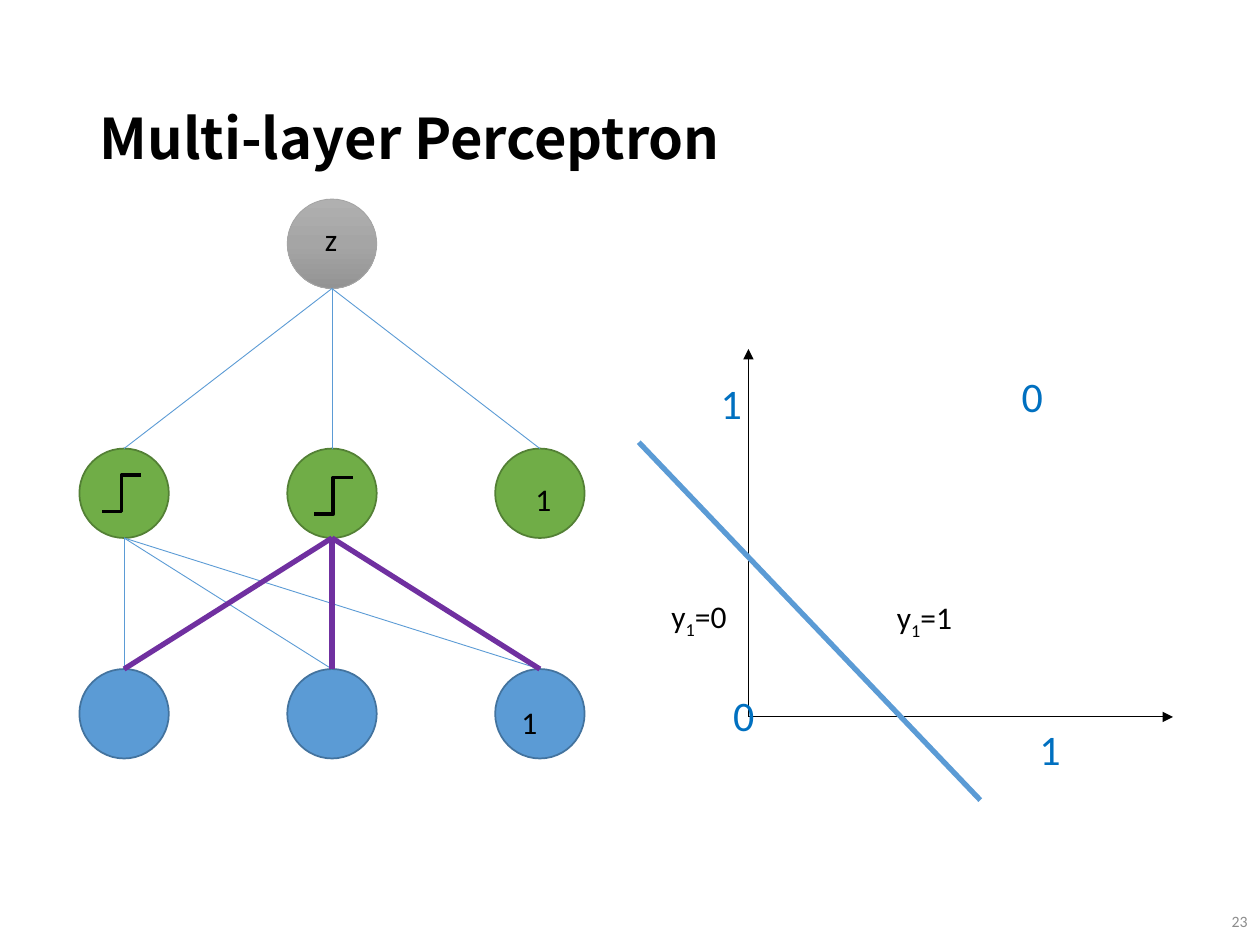
from copy import deepcopy
from typing import NamedTuple

from pptx import Presentation
from pptx.dml.color import RGBColor
from pptx.enum.shapes import MSO_CONNECTOR, MSO_SHAPE
from pptx.enum.text import MSO_ANCHOR, MSO_AUTO_SIZE, PP_ALIGN
from pptx.oxml.ns import qn
from pptx.util import Emu, Inches, Pt
from lxml.etree import SubElement

BLUE, GREEN, GRAY, PURPLE, BLACK = "5B9BD5", "70AD47", "A5A5A5", "7030A0", "000000"
DIAMETER = 0.71
FIRST_COLUMN, COLUMN_PITCH = 0.63, 1.65
OUTPUT_ROW, HIDDEN_ROW, INPUT_ROW = 1.58, 3.56, 5.31
ORIGIN = (5.94, 5.69)
TOP, BOTTOM = 0, 2

presentation = Presentation()
presentation.slide_width, presentation.slide_height = Inches(10), Inches(7.5)
GRID_CELL = presentation.slide_width / 10
slide = presentation.slides.add_slide(presentation.slide_layouts[5])


class Label(NamedTuple):
    text: str
    left: float
    top: float
    width: float
    height: float = 0.4
    size: int = 18
    color: str = BLACK
    wrap: bool = False
    subscript: str = ""
    ending: str = ""


class Segment(NamedTuple):
    start: tuple
    end: tuple
    color: str
    width: float
    arrow: bool = False


class Layer(NamedTuple):
    row: float
    columns: tuple
    fill: str
    outline: str
    line_width: float


class Step(NamedTuple):
    left: float
    top: float


def grid(cells: float) -> Emu:
    return Emu(round(cells * GRID_CELL))


def rgb(color: str) -> RGBColor:
    return RGBColor.from_string(color)


def place(shape, left: float, top: float, width: float, height: float) -> None:
    shape.left, shape.top = grid(left), grid(top)
    shape.width, shape.height = grid(width), grid(height)


def write(paragraph, text: str, *, size: float, color: str = BLACK,
          font: str = "Calibri", bold: bool = False, baseline: int = 0) -> None:
    run = paragraph.add_run()
    run.text = text
    run.font.size, run.font.name, run.font.bold = Pt(size), font, bold
    run.font.color.rgb = rgb(color)
    properties = run.font._element
    for tag in ("a:ea", "a:cs"):
        SubElement(properties, qn(tag), typeface=font)
    if baseline:
        properties.set("baseline", str(baseline * 1000))


def draw_label(label: Label):
    shape = slide.shapes.add_textbox(0, 0, 0, 0)
    frame = shape.text_frame
    frame.word_wrap = label.wrap
    frame.auto_size = MSO_AUTO_SIZE.SHAPE_TO_FIT_TEXT
    place(shape, label.left, label.top, label.width, label.height)
    paragraph = frame.paragraphs[0]
    write(paragraph, label.text, size=label.size, color=label.color)
    if label.subscript:
        write(paragraph, label.subscript, size=label.size, color=label.color, baseline=-25)
        write(paragraph, label.ending, size=label.size, color=label.color)
    return shape


def draw_segment(segment: Segment):
    (x1, y1), (x2, y2) = segment.start, segment.end
    connector = slide.shapes.add_connector(
        MSO_CONNECTOR.STRAIGHT, grid(x1), grid(y1), grid(x2), grid(y2))
    connector.line.color.rgb = rgb(segment.color)
    connector.line.width = Pt(segment.width)
    if segment.arrow:
        SubElement(connector.line._get_or_add_ln(), qn("a:tailEnd"), type="triangle")
    SubElement(connector._element.spPr, qn("a:effectLst"))
    return connector


def draw_neuron(layer: Layer, column: int):
    neuron = slide.shapes.add_shape(MSO_SHAPE.OVAL, 0, 0, 0, 0)
    place(neuron, FIRST_COLUMN + column * COLUMN_PITCH, layer.row, DIAMETER, DIAMETER)
    neuron.shadow.inherit = False
    neuron.fill.solid()
    neuron.fill.fore_color.rgb = rgb(layer.fill)
    neuron.line.color.rgb = rgb(layer.outline)
    neuron.line.width = Pt(layer.line_width)
    return neuron


def shade(neuron, colors: tuple) -> None:
    neuron.fill.gradient()
    neuron.fill.gradient_angle = 270
    first = neuron.fill.gradient_stops[0]._gs
    first.addnext(deepcopy(first))
    stops = neuron.fill.gradient_stops
    for index, (stop, color) in enumerate(zip(stops, colors)):
        stop.color.rgb = rgb(color)
        stop.position = index / (len(colors) - 1)


def connect(lower, upper, color: str, width: float) -> None:
    connector = draw_segment(Segment((0, 0), (1, 1), color, width))
    connector.begin_connect(lower, TOP)
    connector.end_connect(upper, BOTTOM)


def draw_step(step: Step, width: float = 0.31, height: float = 0.29) -> None:
    right, middle, bottom = step.left + width, step.left + width / 2, step.top + height
    builder = slide.shapes.build_freeform(grid(right), grid(step.top))
    corners = [(middle, step.top), (middle, bottom), (step.left, bottom)]
    builder.add_line_segments([(grid(x), grid(y)) for x, y in corners], close=False)
    shape = builder.convert_to_shape()
    shape.shadow.inherit = False
    shape.fill.background()
    shape.line.color.rgb = rgb(BLACK)
    shape.line.width = Pt(2)


def draw_title(text: str) -> None:
    title = slide.shapes.title
    place(title, 0.69, 0.4, 8.62, 1.45)
    title.text_frame.vertical_anchor = MSO_ANCHOR.MIDDLE
    title.text_frame.auto_size = MSO_AUTO_SIZE.NONE
    paragraph = title.text_frame.paragraphs[0]
    paragraph.alignment, paragraph.line_spacing = PP_ALIGN.LEFT, 0.9
    write(paragraph, text, size=32, font="Noto Sans CJK KR", bold=True)


def draw_plot() -> None:
    draw_segment(Segment(ORIGIN, (5.94, 2.77), BLACK, 0.5, arrow=True))
    draw_segment(Segment(ORIGIN, (9.31, 5.69), BLACK, 0.5, arrow=True))
    marks = [("0", 8.01, 2.89), ("1", 5.62, 2.95), ("1", 8.15, 5.69), ("0", 5.72, 5.42)]
    for text, left, top in marks:
        draw_label(Label(text, left, top, 0.39, 0.5, 24, "0070C0"))
    draw_segment(Segment((5.07, 3.51), (7.78, 6.35), BLUE, 3))
    for left, top, ending in [(7.02, 4.7, "=1"), (5.23, 4.69, "=0")]:
        draw_label(Label("y", left, top, 0.73, subscript="1", ending=ending))


def draw_network() -> None:
    layers = [
        Layer(INPUT_ROW, (0, 1, 2), BLUE, "43739E", 1),
        Layer(HIDDEN_ROW, (0, 1, 2), GREEN, "538035", 1),
        Layer(OUTPUT_ROW, (1,), GRAY, GRAY, 0.5),
    ]
    inputs, hidden, (output,) = [
        [draw_neuron(layer, column) for column in layer.columns] for layer in layers]
    shade(output, ("B0B0B0", "A5A5A5", "939393"))
    links = [(inputs, hidden[0], BLUE, 0.5), (inputs, hidden[1], PURPLE, 3),
             (hidden, output, BLUE, 0.5)]
    for lower_layer, upper, color, width in links:
        for lower in lower_layer:
            connect(lower, upper, color, width)
    draw_label(Label("1", 4.04, 5.53, 0.43, wrap=True))
    draw_label(Label("1", 4.15, 3.76, 0.34))
    draw_label(Label("z", 2.48, 1.7, 0.3, wrap=True))
    for step in (Step(2.49, 3.79), Step(0.81, 3.77)):
        draw_step(step)


def main() -> None:
    draw_title("Multi-layer Perceptron")
    number = draw_label(Label("23", 9.46, 7.11, 0.54, size=9, color="8C8C8C", wrap=True))
    number.text_frame.auto_size = MSO_AUTO_SIZE.NONE
    number.text_frame.vertical_anchor = MSO_ANCHOR.MIDDLE
    number.text_frame.paragraphs[0].alignment = PP_ALIGN.RIGHT
    draw_plot()
    draw_network()
    presentation.save("out.pptx")


if __name__ == "__main__":
    main()
